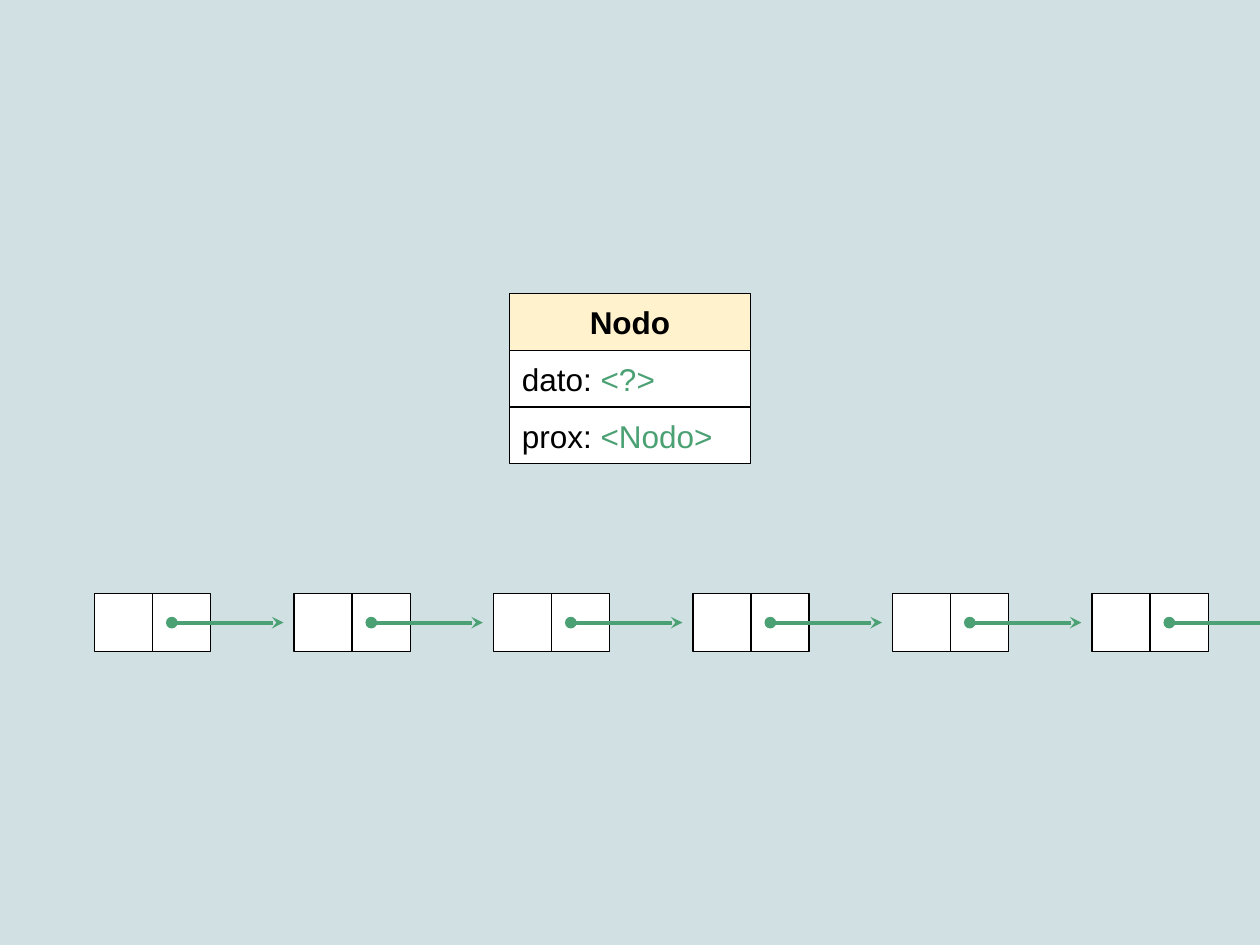
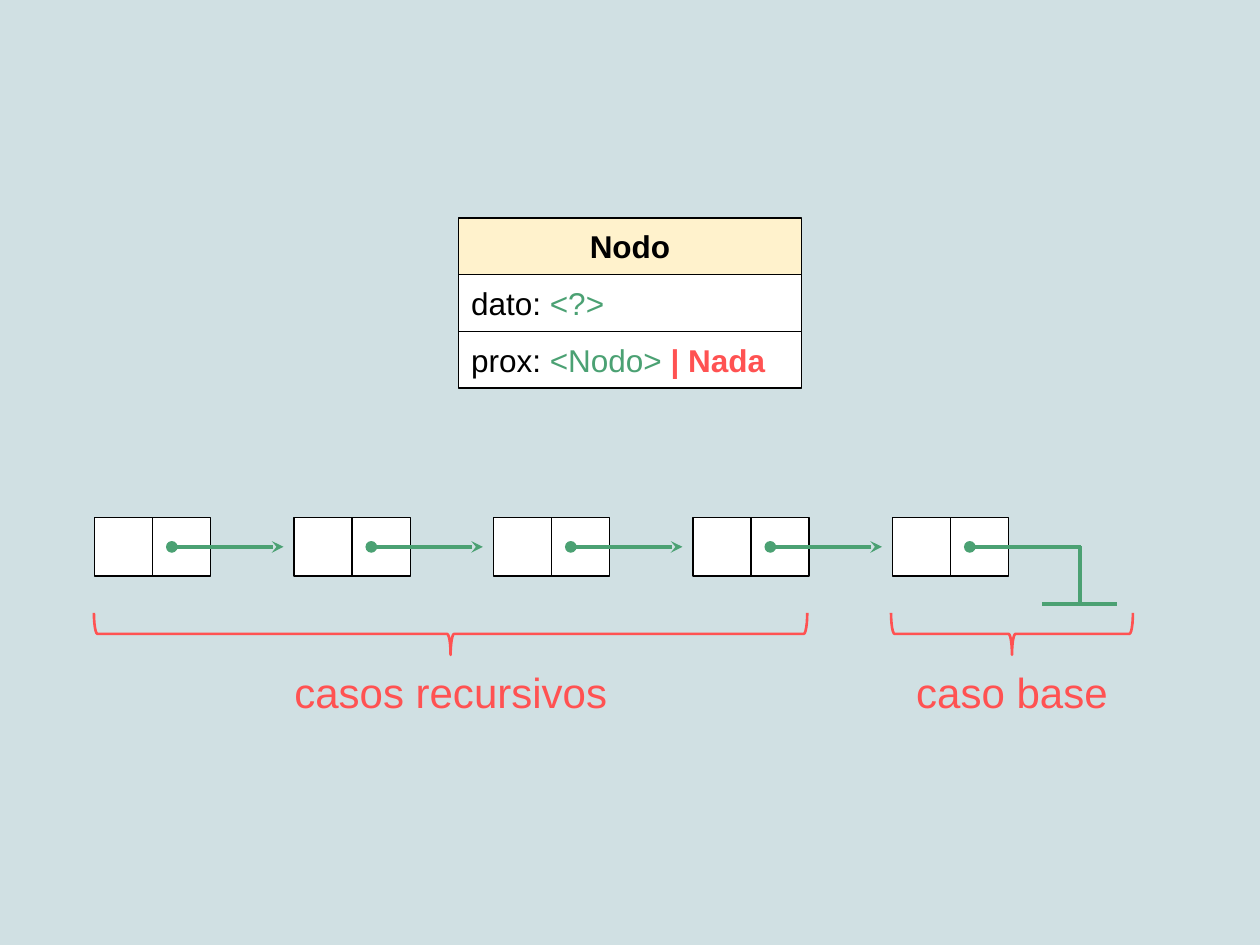
import pptx
import pptx.util
import pptx.dml.color
import pptx.enum.shapes
import pptx.enum.text
import pptx.oxml
import lxml.etree

Pt = pptx.util.Pt
Kind = pptx.enum.shapes.MSO_SHAPE
Align = pptx.enum.text.PP_ALIGN
Anchor = pptx.enum.text.MSO_ANCHOR
color = pptx.dml.color.RGBColor.from_string

BLACK, WHITE, CREAM = "000000", "FFFFFF", "FFF2CC"
GREEN, RED, BACK = "4BA173", "FF5252", "D0E0E3"
CELL, STEP, LEFT, ROW = 33.2, 114, 54, 32.4


def draw(slide, kind, x, y, w, h, fill=None, line=None, weight=0.75, runs=(), size=18, align=Align.LEFT, anchor=Anchor.MIDDLE):
    if kind is None:
        shape = slide.shapes.add_textbox(Pt(x), Pt(y), Pt(w), Pt(h))
    else:
        shape = slide.shapes.add_shape(kind, Pt(x), Pt(y), Pt(w), Pt(h))
        shape.shadow.inherit = False
        shape.line.color.rgb = color(line)
        shape.line.width = Pt(weight)
        if fill:
            shape.fill.solid()
            shape.fill.fore_color.rgb = color(fill)
        else:
            shape.fill.background()
    if runs:
        frame = shape.text_frame
        sides = dict.fromkeys(("margin_left", "margin_right", "margin_top", "margin_bottom"), Pt(7.2))
        for key, value in {**sides, "word_wrap": True, "vertical_anchor": anchor}.items():
            setattr(frame, key, value)
        para = frame.paragraphs[0]
        para.alignment = align
        for text, tint, bold in runs:
            run = para.add_run()
            run.text = text
            for key, value in {"name": "Arial", "size": Pt(size), "bold": bold}.items():
                setattr(run.font, key, value)
            run.font.color.rgb = color(tint)
    return shape


def link(slide, x1, y1, x2, y2, **ends):
    line = slide.shapes.add_connector(pptx.enum.shapes.MSO_CONNECTOR.STRAIGHT, Pt(x1), Pt(y1), Pt(x2), Pt(y2))
    line.line.color.rgb = color(GREEN)
    line.line.width = Pt(2.25)
    for end, style in ends.items():
        lxml.etree.SubElement(line.line._get_or_add_ln(), pptx.oxml.ns.qn(f"a:{end}"), type=style)
    lxml.etree.SubElement(line._element.spPr, pptx.oxml.ns.qn("a:effectLst"))


deck = pptx.Presentation()
deck.slide_width, deck.slide_height = Pt(720), Pt(540)

link_type = [("prox: ", BLACK, False), ("<Nodo>", GREEN, False)]
maybe_type = [("prox: ", BLACK, False), ("<Nodo> ", GREEN, False), ("| Nada", RED, True)]
plans = [(167.8, 137.8, link_type, 6, 6), (124.5, 195.8, maybe_type, 5, 4)]

for top, width, prox, nodes, arrows in plans:
    slide = deck.slides.add_slide(deck.slide_layouts[6])
    slide.background.fill.solid()
    slide.background.fill.fore_color.rgb = color(BACK)

    rows = [
        ([("Nodo", BLACK, True)], CREAM, Align.CENTER),
        ([("dato: ", BLACK, False), ("<?>", GREEN, False)], WHITE, Align.LEFT),
        (prox, WHITE, Align.LEFT),
    ]
    for i, (runs, fill, align) in enumerate(rows):
        draw(slide, Kind.RECTANGLE, 360 - width / 2, top + i * ROW, width, ROW, fill, BLACK, runs=runs, align=align)

    chain = top + 171.4
    mid = chain + CELL / 2
    for i in range(nodes):
        x = LEFT + i * STEP
        for part in range(2):
            draw(slide, Kind.RECTANGLE, x + part * CELL, chain, CELL, CELL, WHITE, BLACK)
        ends = {"headEnd": "stealth"} if i < arrows else {}
        link(slide, x + 108, mid, x + 44.2, mid, **ends, tailEnd="oval")

link(slide, 617, mid - 0.5, 617, 345)
link(slide, 595.5, 345, 638.5, 345)

cases = [("casos recursivos", 257.5, 407.6, 212), ("caso base", 578.3, 138.2, 144)]
for text, center, span, width in cases:
    draw(slide, None, center - width / 2, 373.7, width, 41.8, runs=[(text, RED, False)], size=24, align=Align.CENTER, anchor=Anchor.TOP)
    brace = draw(slide, Kind.LEFT_BRACE, center - 12, 362.2 - span / 2, 24, span, line=RED, weight=1.5)
    brace.rotation = 270

deck.save("out.pptx")
